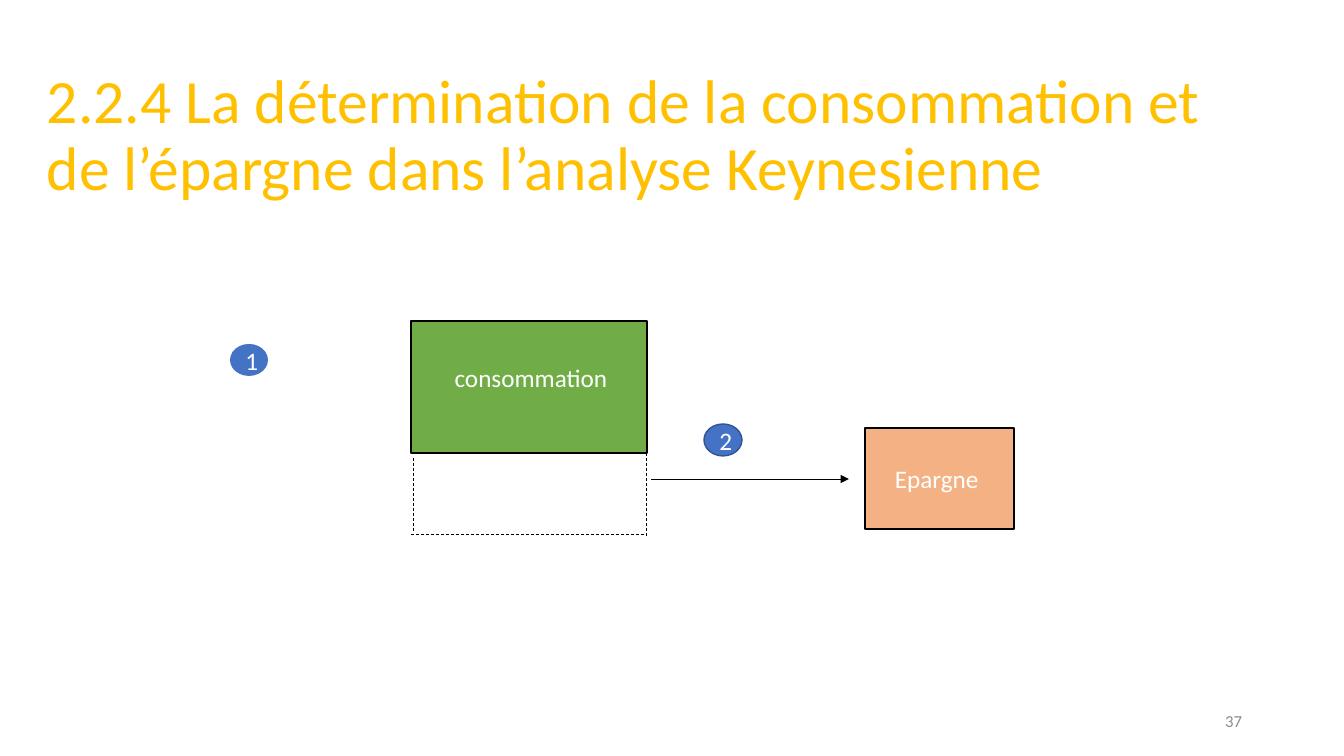
from lxml import etree
from pptx import Presentation
from pptx.dml.color import RGBColor
from pptx.enum.dml import MSO_LINE_DASH_STYLE as Dash
from pptx.enum.shapes import MSO_CONNECTOR as Connector, MSO_SHAPE as Shape
from pptx.enum.text import MSO_ANCHOR as Anchor, PP_ALIGN as Align
from pptx.oxml.ns import qn
from pptx.util import Emu, Pt

FONT = "Calibri"
WHITE = RGBColor(0xFF, 0xFF, 0xFF)
BLACK = RGBColor(0x00, 0x00, 0x00)
GOLD = RGBColor(0xFF, 0xC0, 0x00)
GREEN = RGBColor(0x70, 0xAD, 0x47)
BLUE = RGBColor(0x44, 0x72, 0xC4)
DARK_BLUE = RGBColor(0x32, 0x54, 0x91)
ORANGE = RGBColor(0xF4, 0xB1, 0x83)
GREY = RGBColor(0x8C, 0x8C, 0x8C)

SLIDE_SIZE = (1344, 756)

# (left, top, width, height), text, size, colour, alignment, line spacing
TEXTS = [
    ((37, 64, 1189, 146),
     "2.2.4 La détermination de la consommation et de l’épargne dans l’analyse Keynesienne",
     44, GOLD, Align.LEFT, 0.9),
    ((430, 344, 202, 67), "consommation", 18, WHITE, Align.CENTER, 1.0),
    ((950, 701, 302, 40), "37", 12, GREY, Align.RIGHT, 1.0),
]

# preset, (left, top, width, height), fill, line, text
SHAPES = [
    (Shape.RECTANGLE, (411, 321, 236, 132), GREEN, BLACK, ""),
    (Shape.OVAL, (230, 344, 38, 32), BLUE, None, "1"),
    (Shape.OVAL, (704, 424, 38, 32), BLUE, DARK_BLUE, "2"),
    (Shape.RECTANGLE, (865, 428, 149, 101), ORANGE, BLACK, "Epargne "),
]

# from x, from y, to x, to y
DASHED_SIDES = [
    (413, 458, 413, 532),
    (411, 534, 647, 534),
    (646, 453, 646, 536),
]
SAVING_ARROW = (651, 479, 849, 479)


def px(*lengths):
    return [Emu(round(length * 914400 / 100.8)) for length in lengths]


def write(shape, text, size, color, align, spacing=1.0):
    frame = shape.text_frame
    frame.word_wrap = True
    frame.vertical_anchor = Anchor.MIDDLE
    paragraph = frame.paragraphs[0]
    paragraph.alignment = align
    paragraph.line_spacing = spacing
    run = paragraph.add_run()
    run.text = text
    run.font.name = FONT
    run.font.size = Pt(size)
    run.font.color.rgb = color


def add_box(slide, preset, box, fill, line, text):
    shape = slide.shapes.add_shape(preset, *px(*box))
    shape.shadow.inherit = False
    shape.fill.solid()
    shape.fill.fore_color.rgb = fill
    if line is None:
        shape.line.fill.background()
    else:
        shape.line.color.rgb = line
        shape.line.width = Pt(1)
    if text:
        write(shape, text, 18, WHITE, Align.CENTER)


def add_line(slide, ends):
    connector = slide.shapes.add_connector(Connector.STRAIGHT, *px(*ends))
    connector.line.color.rgb = BLACK
    connector.line.width = Pt(0.5)
    etree.SubElement(connector._element.spPr, qn("a:effectLst"))
    return connector


def main():
    presentation = Presentation()
    presentation.slide_width, presentation.slide_height = px(*SLIDE_SIZE)
    slide = presentation.slides.add_slide(presentation.slide_layouts[6])

    for shape in SHAPES:
        add_box(slide, *shape)
    for box, *text in TEXTS:
        write(slide.shapes.add_textbox(*px(*box)), *text)
    for ends in DASHED_SIDES:
        add_line(slide, ends).line.dash_style = Dash.DASH
    arrow = add_line(slide, SAVING_ARROW)
    etree.SubElement(arrow.line._get_or_add_ln(), qn("a:tailEnd"), type="triangle")

    presentation.save("out.pptx")


if __name__ == "__main__":
    main()
